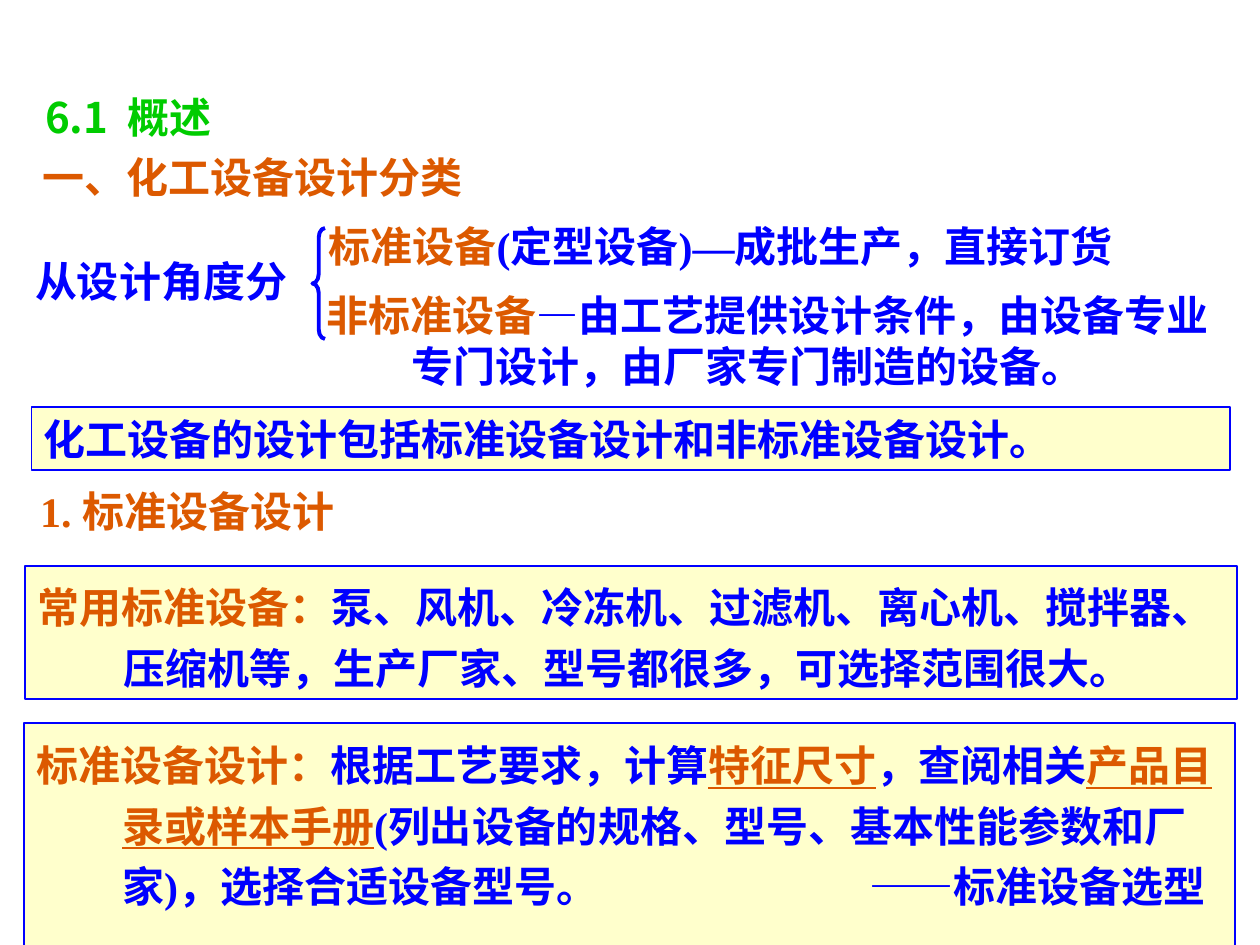
from lxml.etree import SubElement
from pptx import Presentation
from pptx.dml.color import RGBColor
from pptx.enum.shapes import MSO_SHAPE
from pptx.enum.text import MSO_ANCHOR, MSO_AUTO_SIZE, PP_ALIGN
from pptx.oxml.ns import qn
from pptx.util import Inches, Pt

SERIF = "Times New Roman"
HAN = "Noto Sans CJK SC"
GREEN, ORANGE, BLUE, CREAM = "00CC00", "DC5900", "0000FF", "FFFFCC"
HANGING = 0.68


def color(value):
    return RGBColor.from_string(value)


def add_run(paragraph, text, run_color, underline=False, latin=SERIF):
    run = paragraph.add_run()
    run.text = text
    font = run.font
    font.size, font.bold, font.name = Pt(24), True, latin
    font.color.rgb = color(run_color)
    if underline:
        font.underline = True
    SubElement(font._element, qn("a:ea")).set("typeface", HAN)


def fill_text(shape, runs, hanging=False, spacing=None, middle=False, wrap=True):
    """Write one paragraph; each run is (text, color, optional underline, font)."""
    frame = shape.text_frame
    frame.word_wrap = wrap
    frame.auto_size = MSO_AUTO_SIZE.SHAPE_TO_FIT_TEXT
    frame.vertical_anchor = MSO_ANCHOR.MIDDLE if middle else MSO_ANCHOR.TOP
    paragraph = frame.paragraphs[0]
    paragraph.alignment = PP_ALIGN.LEFT
    if spacing:
        paragraph.line_spacing = spacing
    if hanging:
        properties = paragraph._p.get_or_add_pPr()
        properties.set("marL", str(Inches(HANGING)))
        properties.set("indent", str(Inches(-HANGING)))
    for run in runs:
        add_run(paragraph, *run)


def add_label(slide, box, runs, **layout):
    label = slide.shapes.add_textbox(*map(Inches, box))
    fill_text(label, runs, **layout)


def add_panel(slide, box, runs, **layout):
    panel = slide.shapes.add_shape(MSO_SHAPE.RECTANGLE, *map(Inches, box))
    panel.shadow.inherit = False
    panel.fill.solid()
    panel.fill.fore_color.rgb = color(CREAM)
    panel.line.color.rgb = color(BLUE)
    panel.line.width = Pt(1)
    fill_text(panel, runs, **layout)


def add_classification(slide, left, top):
    """Place the brace with its label and the two kinds of equipment."""
    add_label(slide, (left, top + 0.28, 2.2, 0.5), [("从设计角度分", BLUE)],
              middle=True, wrap=False)
    add_label(slide, (left + 2.33, top, 6.96, 0.5),
              [("标准设备", ORANGE), ("(定型设备)—成批生产，直接订货", BLUE)])
    add_label(slide, (left + 2.31, top + 0.55, 7.43, 0.9),
              [("非标准设备", ORANGE),
               ("—由工艺提供设计条件，由设备专业专门设计，由厂家专门制造的设备。", BLUE)],
              hanging=True)
    brace = slide.shapes.add_shape(
        MSO_SHAPE.LEFT_BRACE, Inches(left + 2.3), Inches(top + 0.11),
        Inches(0.1), Inches(0.88))
    brace.adjustments[0] = 0.75
    brace.shadow.inherit = False
    brace.fill.background()
    brace.line.color.rgb = color(BLUE)
    brace.line.width = Pt(2.25)


def add_headings(slide):
    add_label(slide, (0.26, 0.68, 3, 0.5), [("6.1  概述", GREEN, False, HAN)])
    add_label(slide, (0.24, 1.15, 5.28, 0.5),
              [("一、化工设备设计分类", ORANGE)], middle=True)
    add_label(slide, (0.22, 3.8, 3.84, 0.5),
              [("1. 标准设备设计", ORANGE)], middle=True)


def add_design_panel(slide, left, top):
    """Place the design steps, with the conclusion at the right of the last line."""
    add_panel(slide, (left, top, 9.61, 2.02),
              [("标准设备设计：", ORANGE),
               ("根据工艺要求，计算", BLUE),
               ("特征尺寸", ORANGE, True),
               ("，查阅相关", BLUE),
               ("产品目录或样本手册", ORANGE, True),
               ("(列出设备的规格、型号、基本性能参数和厂家)，"
                "选择合适设备型号。", BLUE)],
              hanging=True, spacing=1.2)
    add_label(slide, (left + 6.61, top + 1.04, 2.9, 0.5),
              [("——标准设备选型", BLUE)], wrap=False)


def add_panels(slide):
    add_panel(slide, (0.25, 3.23, 9.51, 0.5),
              [("化工设备的设计包括标准设备设计和非标准设备设计。", BLUE)], middle=True)
    add_panel(slide, (0.2, 4.49, 9.62, 1.06),
              [("常用标准设备：", ORANGE),
               ("泵、风机、冷冻机、过滤机、离心机、搅拌器、压缩机等，"
                "生产厂家、型号都很多，可选择范围很大。", BLUE)],
              hanging=True, spacing=1.2)
    add_design_panel(slide, 0.19, 5.74)


def main():
    presentation = Presentation()
    presentation.slide_width = Inches(10)
    presentation.slide_height = Inches(7.5)
    slide = presentation.slides.add_slide(presentation.slide_layouts[6])
    add_headings(slide)
    add_classification(slide, 0.18, 1.7)
    add_panels(slide)
    presentation.save("out.pptx")


if __name__ == "__main__":
    main()
